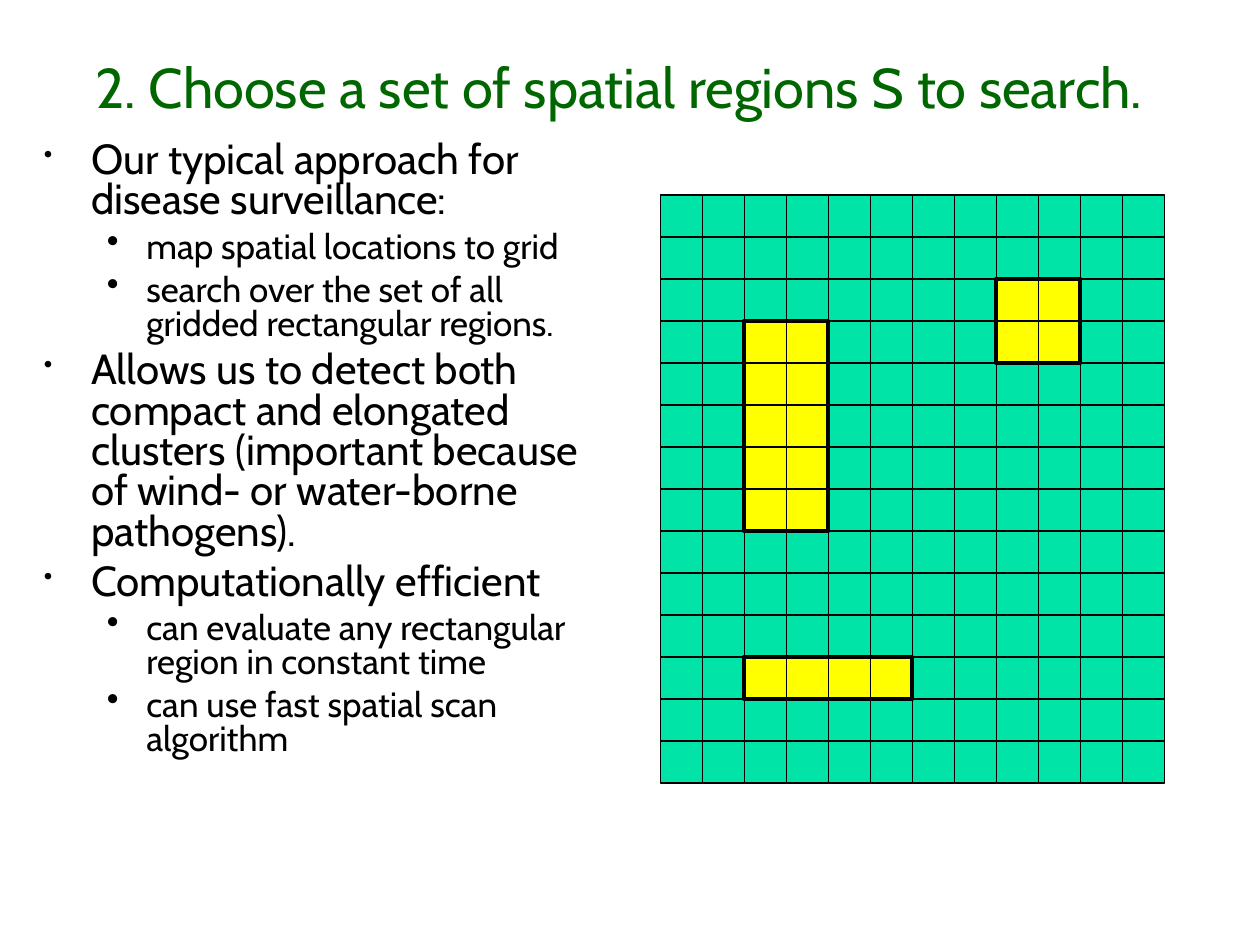
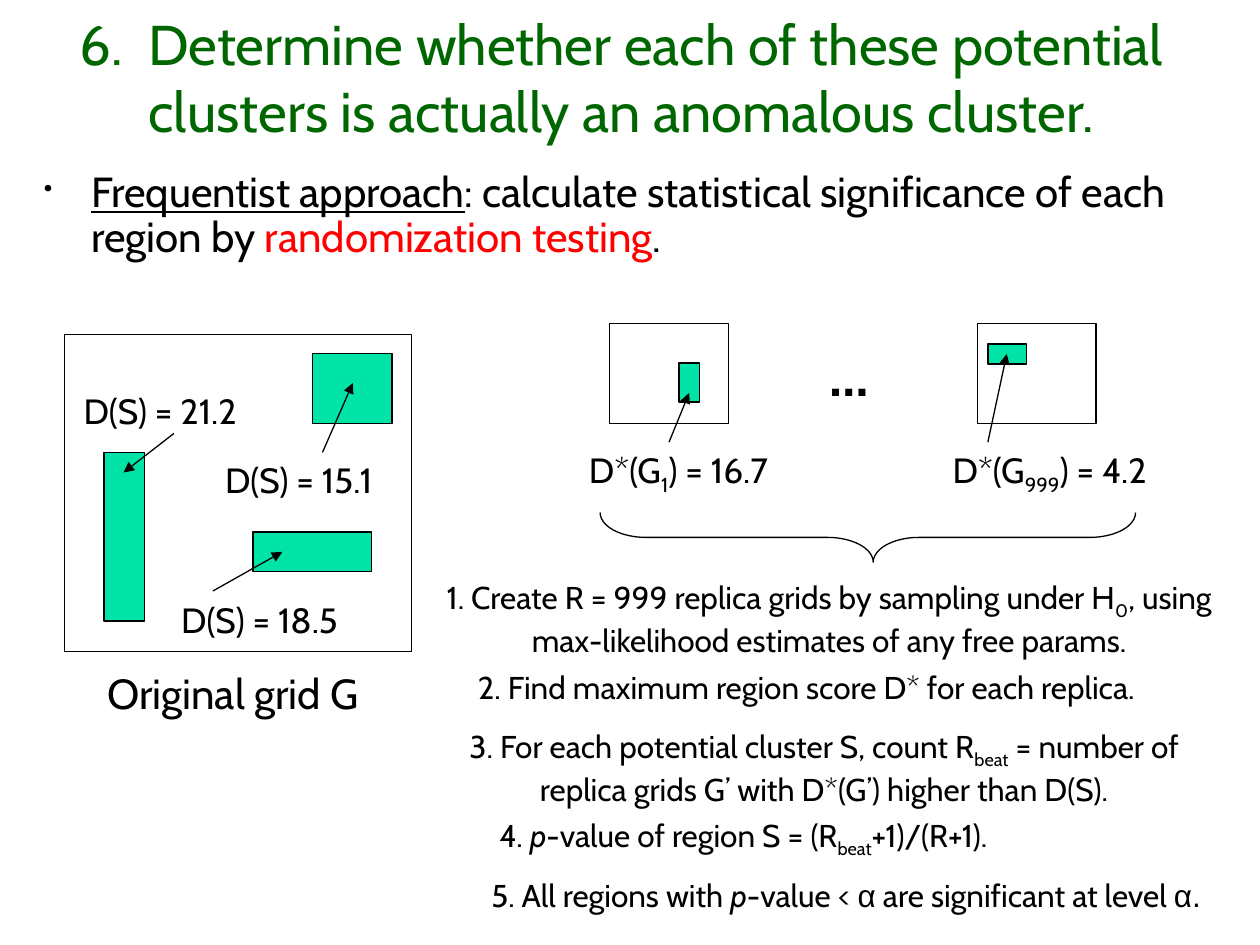
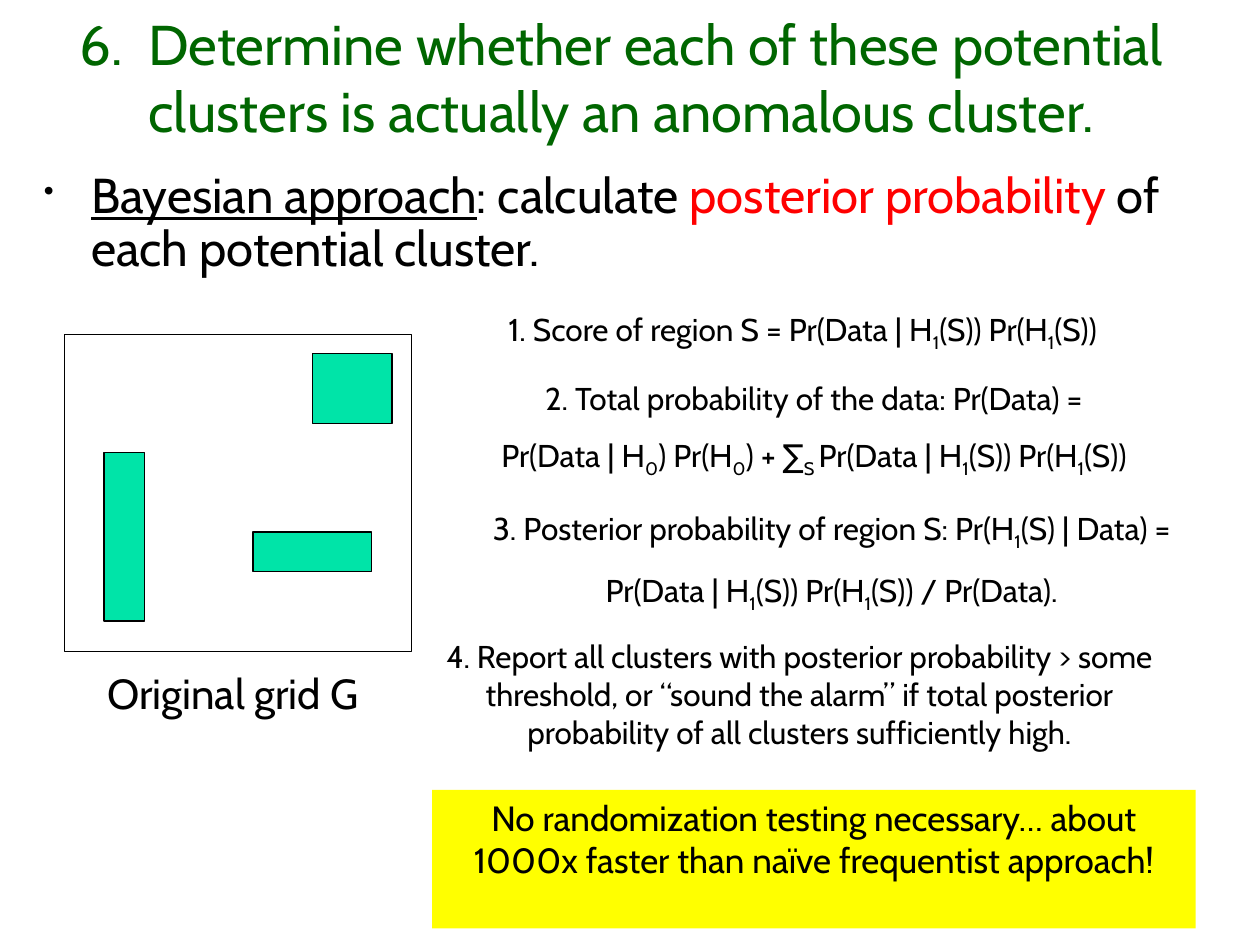
import dataclasses

import lxml.etree
import pptx
import pptx.dml.color
import pptx.enum.shapes
import pptx.enum.text
import pptx.oxml
import pptx.oxml.ns
import pptx.shapes.connector
import pptx.util


@dataclasses.dataclass(frozen=True)
class Theme:
    font: str = "Cabin"
    greek_font: str = "Arial"
    title: str = "006600"
    ink: str = "000000"
    accent: str = "FF0000"
    grid: str = "00E4A8"
    highlight: str = "FFFF00"
    title_size: int = 32
    lead_size: int = 28
    body_size: int = 24
    label_size: int = 20
    step_size: int = 18
    thin: float = 0.75
    thick: float = 2.5


theme = Theme()
Pt = pptx.util.Pt
color = pptx.dml.color.RGBColor.from_string
qn = pptx.oxml.ns.qn
anchors = pptx.enum.text.MSO_ANCHOR
shape_types = pptx.enum.shapes.MSO_SHAPE
straight = pptx.enum.shapes.MSO_CONNECTOR.STRAIGHT


def add_rectangle(slide, frame, fill=None, line_width=None):
    shape = slide.shapes.add_shape(shape_types.RECTANGLE, *map(Pt, frame))
    shape.shadow.inherit = False
    if fill:
        shape.fill.solid()
        shape.fill.fore_color.rgb = color(fill)
    else:
        shape.fill.background()
    if line_width:
        shape.line.color.rgb = color(theme.ink)
        shape.line.width = Pt(line_width)
    else:
        shape.line.fill.background()
    return shape


def write_text(shape, paragraphs, size, ink=theme.ink, bold=False, anchor=anchors.TOP,
               spacing=None, space_before=0, levels=None):
    frame = shape.text_frame
    frame.word_wrap = True
    frame.vertical_anchor = anchor
    for index, runs in enumerate(paragraphs):
        paragraph = frame.paragraphs[0] if index == 0 else frame.add_paragraph()
        paragraph.space_before = Pt(space_before if index else 0)
        run_size = size
        if spacing:
            paragraph.line_spacing = spacing
        if levels:
            level = levels[index]
            run_size = theme.label_size if level else size
            margin, indent, bullet_percent = ((27, -27, 60), (58.5, -22.5, 100))[level]
            paragraph.level = level
            properties = paragraph._p.get_or_add_pPr()
            properties.set("marL", str(Pt(margin)))
            properties.set("indent", str(Pt(indent)))
            bullet_color = lxml.etree.SubElement(properties, qn("a:buClr"))
            lxml.etree.SubElement(bullet_color, qn("a:srgbClr"), val=theme.ink)
            lxml.etree.SubElement(properties, qn("a:buSzPct"), val=str(bullet_percent * 1000))
            lxml.etree.SubElement(properties, qn("a:buChar"), char="•")
        else:
            paragraph.alignment = pptx.enum.text.PP_ALIGN.CENTER
        for text, style in runs:
            run = paragraph.add_run()
            run.text = text
            run.font.name = theme.greek_font if style == "greek" else theme.font
            run.font.size = Pt(run_size)
            run.font.color.rgb = color(theme.accent if style == "accent" else ink)
            run.font.bold = bold
            run.font.italic = style == "italic"
            run.font.underline = style == "underline"
            if style == "sub":
                run._r.get_or_add_rPr().set("baseline", "-25000")


presentation = pptx.Presentation()
presentation.slide_width = Pt(720)
presentation.slide_height = Pt(540)
blank = presentation.slide_layouts[6]
regions_slide, frequentist_slide, bayesian_slide = [
    presentation.slides.add_slide(blank) for _ in range(3)
]

cluster_title = ("6.  Determine whether each of these potential clusters "
                 "is actually an anomalous cluster.")
for slide, left, top, title in (
    (regions_slide, 18, 12.2, "2. Choose a set of spatial regions S to search."),
    (frequentist_slide, 19.4, 25.9, cluster_title),
    (bayesian_slide, 19.4, 25.9, cluster_title),
):
    title_box = slide.shapes.add_textbox(Pt(left), Pt(top), Pt(671.8), Pt(59.8))
    write_text(title_box, [[(title, "")]], theme.title_size, theme.title, anchor=anchors.BOTTOM)

approach = (
    (0, "Our typical approach for disease surveillance:"),
    (1, "map spatial locations to grid"),
    (1, "search over the set of all gridded rectangular regions."),
    (0, "Allows us to detect both compact and elongated clusters "
        "(important because of wind- or water-borne pathogens)."),
    (0, "Computationally efficient"),
    (1, "can evaluate any rectangular region in constant time"),
    (1, "can use fast spatial scan algorithm"),
)
approach_box = regions_slide.shapes.add_textbox(Pt(18), Pt(77.8), Pt(330.5), Pt(432))
write_text(approach_box, [[(text, "")] for _, text in approach], theme.body_size,
           spacing=0.8, space_before=5.5, levels=[level for level, _ in approach])

columns, rows, cell = 12, 14, 24
grid_left, grid_top = 377.3, 111.4
grid_right, grid_bottom = grid_left + columns * cell, grid_top + rows * cell
grid = add_rectangle(regions_slide, (grid_left, grid_top, columns * cell, rows * cell),
                     theme.grid, theme.thin)
for column, row, width, height in ((2, 3, 2, 5), (2, 11, 4, 1), (8, 2, 2, 2)):
    add_rectangle(regions_slide,
                  (grid_left + column * cell, grid_top + row * cell, width * cell, height * cell),
                  theme.highlight, theme.thick)
for row in range(1, rows):
    y = grid_top + row * cell
    line = regions_slide.shapes.add_connector(straight, *map(Pt, (grid_left, y, grid_right, y)))
    if row * 2 == rows:
        line.begin_connect(grid, 1)
        line.end_connect(grid, 3)
for column in range(1, columns):
    x = grid_left + column * cell
    line = regions_slide.shapes.add_connector(straight, *map(Pt, (x, grid_top, x, grid_bottom)))
    if column * 2 == columns:
        line.begin_connect(grid, 0)
        line.end_connect(grid, 2)

frequentist_lead = [
    ("Frequentist approach", "underline"),
    (": calculate statistical significance of each region by ", ""),
    ("randomization testing", "accent"), (".", ""),
]
bayesian_lead = [
    ("Bayesian approach", "underline"), (": calculate ", ""),
    ("posterior probability", "accent"), (" of each potential cluster.", ""),
]
for slide, lead, size in (
    (frequentist_slide, frequentist_lead, theme.body_size),
    (bayesian_slide, bayesian_lead, theme.lead_size),
):
    lead_box = slide.shapes.add_textbox(Pt(18), Pt(94.3), Pt(675.4), Pt(65))
    write_text(lead_box, [lead], size, spacing=0.9, levels=[0])
    add_rectangle(slide, (36.75, 191, 198.5, 181.5), None, theme.thin)
    for cluster in ((59.5, 258.5, 23, 96.5), (178.5, 202, 45.5, 40), (144.5, 304, 68, 22.5)):
        add_rectangle(slide, cluster, theme.grid, theme.thin)
    caption = slide.shapes.add_textbox(Pt(48.2), Pt(378), Pt(169.9), Pt(64.8))
    write_text(caption, [[("Original grid G", "")]], theme.body_size)

for replica_left, cluster in (
    (348.5, (388.1, 207.4, 11.5, 22.3)),
    (558.7, (564.5, 196.6, 22.3, 11.5)),
):
    add_rectangle(frequentist_slide, (replica_left, 185, 67.7, 56.9), None, theme.thin)
    add_rectangle(frequentist_slide, cluster, theme.grid, theme.thin)

for left, top, width, runs in (
    (34.6, 218.9, 113.8, [("D(S) = 21.2", "")]),
    (91.4, 338.4, 113.8, [("D(S) = 18.5", "")]),
    (113.8, 258.5, 113.8, [("D(S) = 15.1", "")]),
    (320.4, 252.7, 134.6, [("D*(G", ""), ("1", "sub"), (") = 16.7", "")]),
    (531.4, 252.7, 136.8, [("D*(G", ""), ("999", "sub"), (") = 4.2", "")]),
):
    label = frequentist_slide.shapes.add_textbox(Pt(left), Pt(top), Pt(width), Pt(32))
    write_text(label, [runs], theme.label_size)
ellipsis_box = frequentist_slide.shapes.add_textbox(Pt(464.4), Pt(190.8), Pt(41.8), Pt(46.1))
write_text(ellipsis_box, [[("…", "")]], theme.title_size, bold=True)

for ends in (
    (99.4, 247.7, 70.6, 270),
    (121.7, 337.7, 161.3, 315.4),
    (184.3, 258.5, 201.6, 218.9),
    (382.3, 252.7, 393.8, 224.6),
    (564.5, 252.7, 575.3, 202.3),
):
    arrow = frequentist_slide.shapes.add_connector(straight, *map(Pt, ends))
    lxml.etree.SubElement(arrow.line._get_or_add_ln(), qn("a:tailEnd"), type="triangle")

brace = frequentist_slide.shapes.add_shape(
    shape_types.RIGHT_BRACE, Pt(481.7), Pt(154.1), Pt(28.4), Pt(306))
brace.rotation = 90
brace.adjustments[0] = 0.92
brace.adjustments[1] = 0.49
brace.shadow.inherit = False
brace.fill.background()
brace.line.color.rgb = color(theme.ink)
brace.line.width = Pt(theme.thin)

frequentist_steps = (
    ((247, 326.9, 453.6, 74.9), [[
        ("1. Create R = 999 replica grids by sampling under H", ""), ("0", "sub"),
        (", using max-likelihood estimates of any free params.", "")]]),
    ((241.2, 378, 439.2, 28.8), [[("2. Find maximum region score D* for each replica.", "")]]),
    ((247, 411.8, 447.8, 53.3), [[
        ("3. For each potential cluster S, count R", ""), ("beat", "sub"),
        (" = number of replica grids G’ with D*(G’) higher than D(S).", "")]]),
    ((252, 463, 345.6, 31.7), [[
        ("4. ", ""), ("p", "italic"), ("-value of region S = (R", ""), ("beat", "sub"),
        ("+1)/(R+1).", "")]]),
    ((247, 496.8, 473, 28.8), [[
        ("5. All regions with ", ""), ("p", "italic"), ("-value < ", ""), ("α", "greek"),
        (" are significant at level ", ""), ("α.", "greek")]]),
)
joint = [("Pr(Data | H", ""), ("1", "sub"), ("(S)) Pr(H", ""), ("1", "sub")]
bayesian_steps = (
    ((259.2, 173.5, 398.9, 31.7), [
        [("1. Score of region S = ", ""), *joint, ("(S))", "")]]),
    ((229.7, 213.1, 470.9, 64.8), [
        [("2. Total probability of the data: Pr(Data) =", "")],
        [("Pr(Data | H", ""), ("0", "sub"), (") Pr(H", ""), ("0", "sub"), (") + ∑", ""),
         ("S ", "sub"), *joint, ("(S))", "")]]),
    ((247, 287.3, 456.5, 67.7), [
        [("3. Posterior probability of region S: Pr(H", ""), ("1", "sub"), ("(S) | Data) =", "")],
        [*joint, ("(S)) / Pr(Data).", "")]]),
    ((241.2, 360.7, 431.3, 93.6), [[
        ("4. Report all clusters with posterior probability > some threshold, or “sound the "
         "alarm” if total posterior probability of all clusters sufficiently high.", "")]]),
)
for slide, steps in ((frequentist_slide, frequentist_steps), (bayesian_slide, bayesian_steps)):
    for frame, paragraphs in steps:
        step_box = slide.shapes.add_textbox(*map(Pt, frame))
        write_text(step_box, paragraphs, theme.step_size, space_before=11.2)

conclusion = add_rectangle(bayesian_slide, (247, 451.4, 436.3, 79.2), theme.highlight)
write_text(conclusion, [[("No randomization testing necessary… about 1000x faster than "
                          "naïve frequentist approach!", "")]], theme.label_size)

for slide in presentation.slides:
    for shape in slide.shapes:
        if isinstance(shape, pptx.shapes.connector.Connector):
            shape.line.color.rgb = color(theme.ink)
            shape.line.width = Pt(theme.thin)
            lxml.etree.SubElement(shape._element.spPr, qn("a:effectLst"))

presentation.save("out.pptx")
